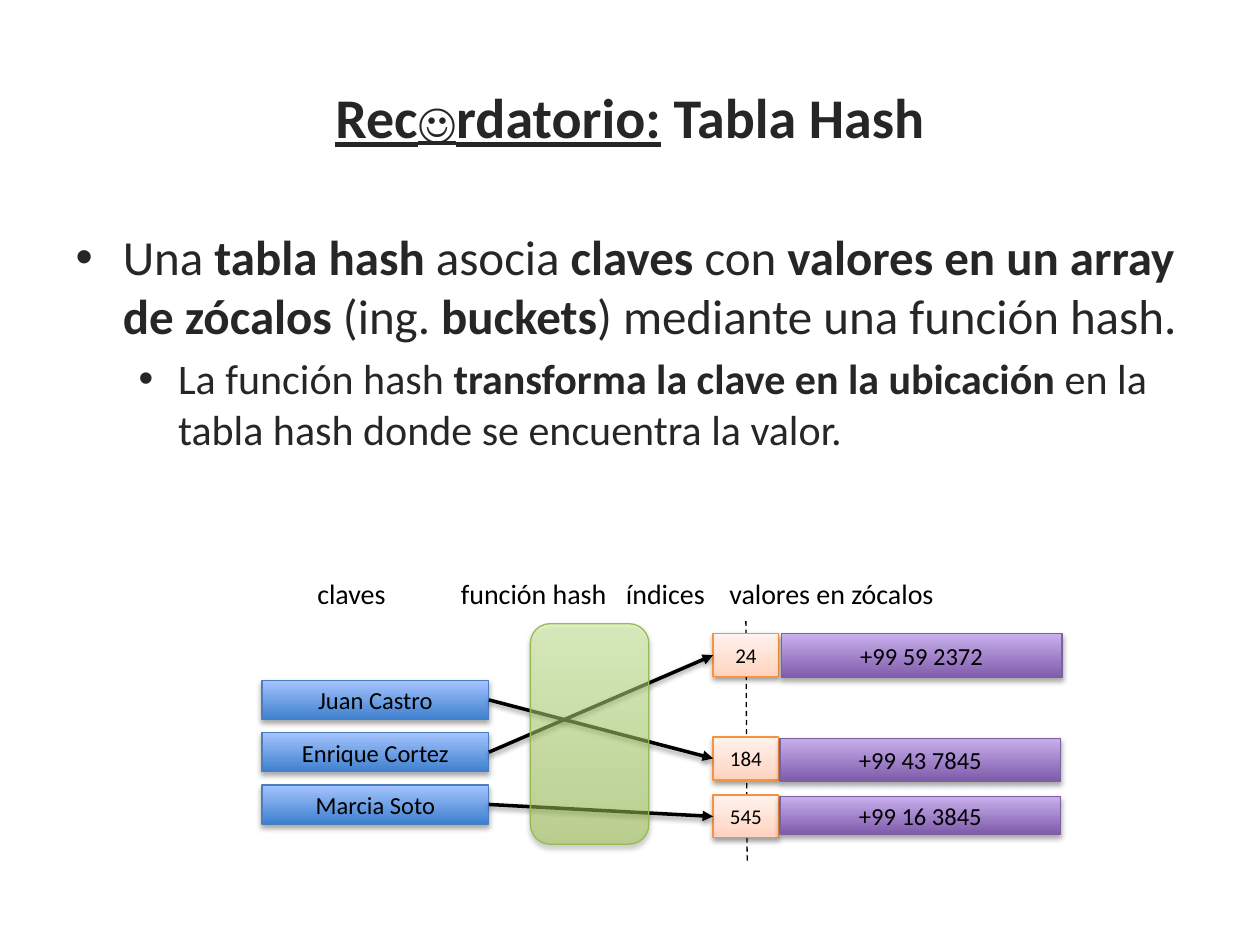
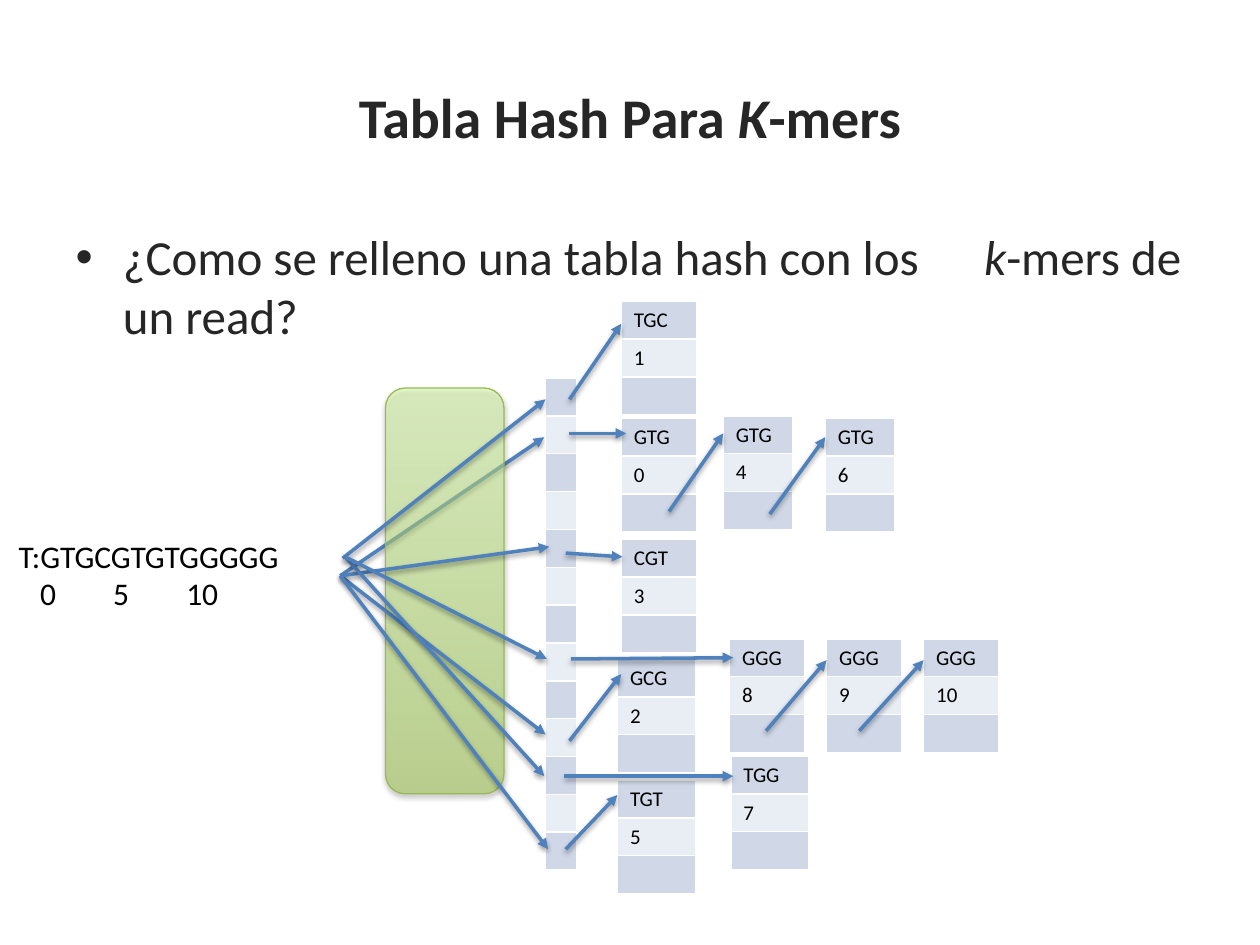
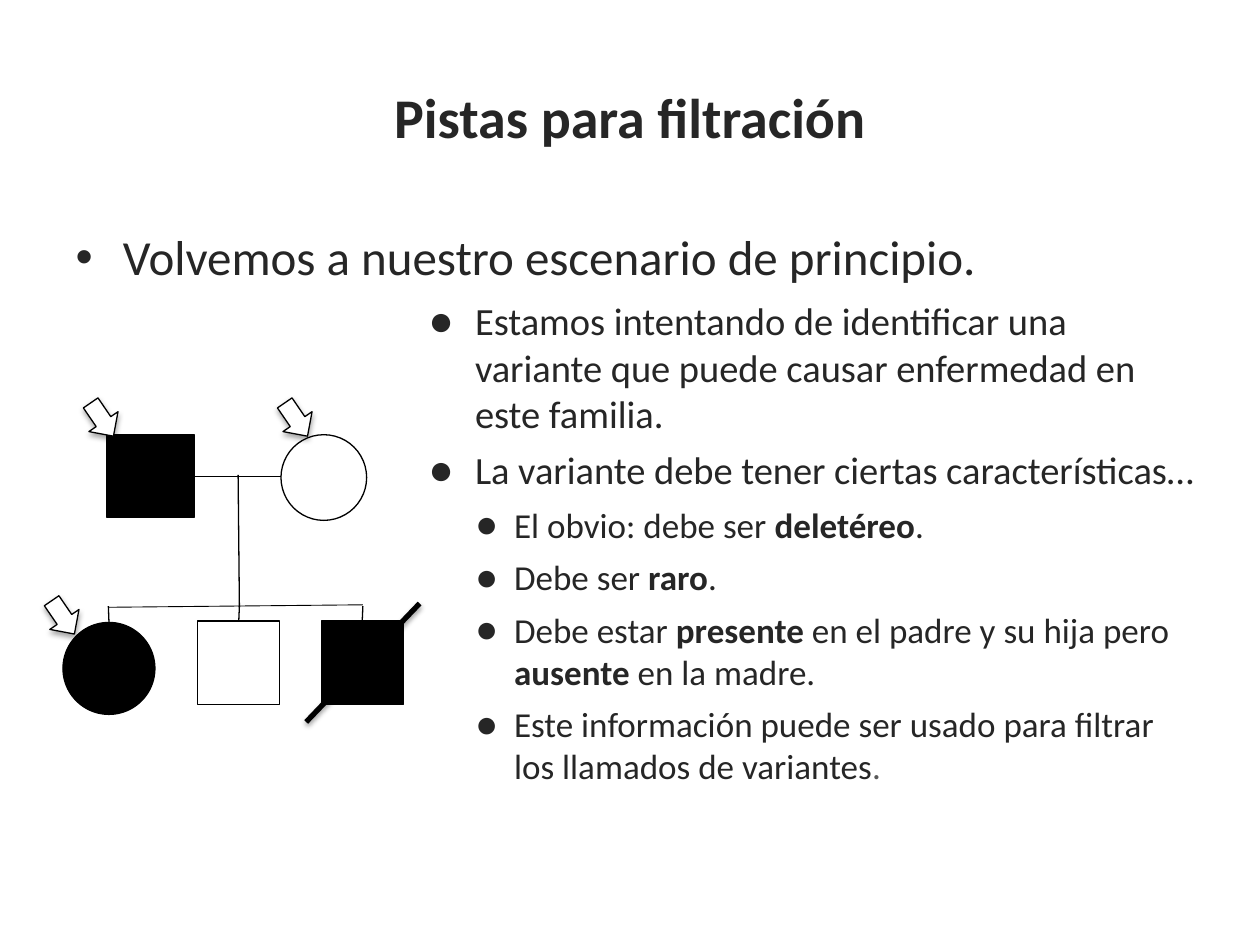
import dataclasses

import pptx
import pptx.dml.color
import pptx.enum.dml
import pptx.enum.shapes
import pptx.enum.text
import pptx.oxml
import pptx.oxml.ns
import pptx.util
from lxml import etree

SHAPE = pptx.enum.shapes.MSO_SHAPE
TOP, LEFT, RIGHT = 0, 1, 3
INK, BLACK, WHITE, STEEL = "262626", "000000", "FFFFFF", "4F81BD"
BANDS = ("D0D8E8", "E9EDF4")
BLUE = [(0, "3F80CE"), (100, "A4C4FF")]
PEACH = [(0, "FFD2BD"), (35, "FFDED0"), (100, "FFF2ED")]
PURPLE = [(0, "7F5BAB"), (100, "C8B0ED")]
GREEN = [(0, "A0CA4A"), (100, "DAFFA5")]
TITLE_BOX = (5, 3, 90, 12.5)
BODY_BOX = (5, 17.5, 90, 49.5)


@dataclasses.dataclass
class Level:
    size: int
    indent: float
    hang: float
    mark: str = "•"
    mark_share: int = 100


BODY_LEVELS = {0: Level(28, 3.75, 3.75), 1: Level(24, 8.13, 3.13)}
CLUE_LEVELS = {1: Level(22, 7.5, 3.7, "●", 110), 2: Level(20, 10.6, 3.1, "●", 110)}


def color(hex_value):
    return pptx.dml.color.RGBColor.from_string(hex_value)


def add_xml(parent, tag, **attributes):
    return etree.SubElement(parent, pptx.oxml.ns.qn(tag), **attributes)


class Deck:
    font = "Calibri"

    def __init__(self):
        self.presentation = pptx.Presentation()
        self.presentation.slide_width = pptx.util.Inches(10)
        self.presentation.slide_height = pptx.util.Inches(7.5)
        self.column = self.presentation.slide_width / 100
        self.row = self.presentation.slide_height / 75
        self.slide = None

    def x(self, columns):
        return int(columns * self.column)

    def y(self, rows):
        return int(rows * self.row)

    def box(self, left, top, width, height):
        return self.x(left), self.y(top), self.x(width), self.y(height)

    def start(self, layout, title):
        layouts = self.presentation.slide_layouts
        self.slide = self.presentation.slides.add_slide(layouts[layout])
        heading = self.slide.shapes.title
        self.place(heading, TITLE_BOX)
        paragraph = heading.text_frame.paragraphs[0]
        self.compose(paragraph, title, 32, emphasis="italic")
        for run in paragraph.runs:
            run.font.bold = True
        return paragraph

    def place(self, shape, area):
        shape.left, shape.top, shape.width, shape.height = self.box(*area)

    def style(self, run, size, ink):
        run.font.name = self.font
        run.font.size = pptx.util.Pt(size)
        run.font.color.rgb = color(ink)

    def compose(self, paragraph, text, size, ink=INK, emphasis="bold"):
        for position, piece in enumerate(text.split("|")):
            if piece:
                run = paragraph.add_run()
                run.text = piece
                self.style(run, size, ink)
                if position % 2:
                    if emphasis == "bold":
                        run.font.bold = True
                    else:
                        run.font.italic = True

    def bullets(self, placeholder, area, items, levels, emphasis="bold", space=None):
        body = self.slide.placeholders[placeholder]
        self.place(body, area)
        frame = body.text_frame
        frame.auto_size = pptx.enum.text.MSO_AUTO_SIZE.NONE
        for number, (depth, text) in enumerate(items):
            paragraph = frame.add_paragraph() if number else frame.paragraphs[0]
            level = levels[depth]
            paragraph.level = depth
            if space is not None:
                paragraph.space_before = pptx.util.Pt(space if number else 0)
            properties = paragraph._p.get_or_add_pPr()
            properties.set("marL", str(self.x(level.indent)))
            properties.set("indent", str(-self.x(level.hang)))
            add_xml(properties, "a:buSzPct", val=str(level.mark_share * 1000))
            add_xml(properties, "a:buFont", typeface="Arial")
            add_xml(properties, "a:buChar", char=level.mark)
            self.compose(paragraph, text, level.size, emphasis=emphasis)
        return frame.paragraphs

    def tabbed(self, area, lines, size, stops):
        frame = self.slide.shapes.add_textbox(*self.box(*area)).text_frame
        frame.word_wrap = True
        frame.text = "\n".join(lines)
        for paragraph in frame.paragraphs:
            tabs = add_xml(paragraph._p.get_or_add_pPr(), "a:tabLst")
            for stop in stops:
                add_xml(tabs, "a:tab", pos=str(self.x(stop)), algn="l")
            self.style(paragraph.runs[0], size, BLACK)

    def shade(self, shape, opacity, distance):
        properties = shape._element.spPr
        effects = properties.find(pptx.oxml.ns.qn("a:effectLst"))
        if effects is None:
            effects = add_xml(properties, "a:effectLst")
        if opacity:
            shadow = add_xml(
                effects, "a:outerShdw",
                blurRad=str(pptx.util.Pt(3.1)), dist=str(pptx.util.Pt(distance)),
                dir="5400000", rotWithShape="0",
            )
            ink = add_xml(shadow, "a:srgbClr", val=BLACK)
            add_xml(ink, "a:alpha", val=str(opacity * 1000))

    def gradient(self, shape, stops, opacity):
        shape.fill.gradient()
        shape.fill.gradient_angle = 90
        ramp = shape._element.spPr.find(".//" + pptx.oxml.ns.qn("a:gsLst"))
        for stop in list(ramp):
            ramp.remove(stop)
        for position, hex_value in stops:
            stop = add_xml(ramp, "a:gs", pos=str(position * 1000))
            ink = add_xml(stop, "a:srgbClr", val=hex_value)
            if opacity < 100:
                add_xml(ink, "a:alpha", val=str(opacity * 1000))

    def shape(self, kind, area, fill=None, line=BLACK, text="", size=14,
              opacity=100, shadow=0, rotation=0):
        shape = self.slide.shapes.add_shape(kind, *self.box(*area))
        shape.rotation = rotation
        if fill is None:
            shape.fill.background()
        elif isinstance(fill, str):
            shape.fill.solid()
            shape.fill.fore_color.rgb = color(fill)
        else:
            self.gradient(shape, fill, opacity)
        shape.line.color.rgb = color(line)
        shape.line.width = pptx.util.Pt(0.75)
        shape.shadow.inherit = False
        self.shade(shape, shadow, 1.8)
        if text:
            frame = shape.text_frame
            frame.text = text
            frame.vertical_anchor = pptx.enum.text.MSO_ANCHOR.MIDDLE
            frame.paragraphs[0].alignment = pptx.enum.text.PP_ALIGN.CENTER
            self.style(frame.paragraphs[0].runs[0], size, BLACK)
        return shape

    def hash_function(self, area):
        self.shape(SHAPE.ROUNDED_RECTANGLE, area, GREEN, "98B955", opacity=50, shadow=35)

    def line(self, start, end, ink=BLACK, width=0.75, arrow=False, dashed=False,
             shadow=0, source=None, target=None):
        connector = self.slide.shapes.add_connector(
            pptx.enum.shapes.MSO_CONNECTOR.STRAIGHT,
            self.x(start[0]), self.y(start[1]), self.x(end[0]), self.y(end[1]),
        )
        if source:
            connector.begin_connect(*source)
        if target:
            connector.end_connect(*target)
        connector.line.color.rgb = color(ink)
        connector.line.width = pptx.util.Pt(width)
        if dashed:
            connector.line.dash_style = pptx.enum.dml.MSO_LINE.DASH
        if arrow:
            add_xml(connector.line._get_or_add_ln(), "a:tailEnd", type="triangle")
        self.shade(connector, shadow, 1.6)

    def arrow(self, start, end, ink=STEEL, **joins):
        self.line(start, end, ink, 2, arrow=True, shadow=38, **joins)

    def stack(self, left, top, width, values):
        height = 3 * len(values)
        frame = self.slide.shapes.add_table(
            len(values), 1, *self.box(left, top, width, height))
        table = frame.table
        table.first_row = False
        for number, value in enumerate(values):
            cell = table.cell(number, 0)
            cell.fill.solid()
            cell.fill.fore_color.rgb = color(BANDS[number % 2])
            paragraph = cell.text_frame.paragraphs[0]
            if value:
                paragraph.text = value
                self.style(paragraph.runs[0], 12, BLACK)
            else:
                add_xml(paragraph._p, "a:endParaRPr", sz="1200")


def reminder(deck):
    title = deck.start(1, "Rec||☺||rdatorio:|| Tabla Hash")
    for run in title.runs[:3]:
        run.font.underline = True
    title.runs[1].font.size = pptx.util.Pt(24)
    deck.bullets(1, BODY_BOX, [
        (0, "Una |tabla hash |asocia |claves| con |valores en un array de zócalos "
            "|(ing. |buckets|) mediante una función hash."),
        (1, "La función hash |transforma la clave en la ubicación| en la tabla hash "
            "donde se encuentra la valor."),
    ], BODY_LEVELS)
    deck.tabbed((24.2, 45.3, 61.6, 3.7),
                ["claves\tfunción hash\tíndices\tvalores en zócalos"],
                16, (11.4, 24.5, 32.7))

    names = ("Juan Castro", "Enrique Cortez", "Marcia Soto")
    keys = [
        deck.shape(SHAPE.RECTANGLE, (20.8, 54 + 4.15 * number, 18, 3.1),
                   BLUE, "4B7EBC", name, shadow=35)
        for number, name in enumerate(names)
    ]
    deck.line((59.3, 68.3), (59.2, 49.3), dashed=True)
    buckets = (
        ("24", 50.3, "+99 59 2372", (62, 50.3, 22.3, 3.5)),
        ("184", 58.5, "+99 43 7845", (61.9, 58.6, 22.3, 3.4)),
        ("545", 63.1, "+99 16 3845", (61.9, 63.2, 22.3, 3)),
    )
    indices = []
    for index, top, phone, phone_box in buckets:
        indices.append(deck.shape(SHAPE.RECTANGLE, (56.6, top, 5.2, 3.4),
                                  PEACH, "F69240", index, 12, shadow=38))
        deck.shape(SHAPE.RECTANGLE, phone_box, PURPLE, "7D60A0", phone, shadow=35)
    for key, bucket in zip(keys, (1, 0, 2)):
        deck.arrow((38.8, 56), (56.6, 60), BLACK,
                   source=(key, RIGHT), target=(indices[bucket], LEFT))
    deck.hash_function((42.1, 49.5, 9.4, 17.5))


def kmers(deck):
    deck.start(1, "Tabla Hash Para |K|-mers")
    question = deck.bullets(1, BODY_BOX, [
        (0, "¿Como se relleno una tabla hash con los| ||k|-mers de un read?"),
    ], BODY_LEVELS, emphasis="italic")[0]
    question.runs[1]._r.get_or_add_rPr().set("spc", "3100")
    deck.tabbed((0.5, 42.1, 26.5, 7.1), ["T:GTGCGTGTGGGGG", "\t0\t5\t10"],
                18, (1.7, 7.5, 13.3))

    deck.arrow((27, 45.7), (43.2, 34.7))
    deck.hash_function((30.6, 30.8, 9.4, 32.2))
    deck.stack(43.3, 30, 2.5, [""] * 13)
    entries = (
        (49.3, 23.9, 6, "TGC", "1"),
        (49.3, 33.2, 6, "GTG", "0"),
        (57.4, 33, 5.5, "GTG", "4"),
        (65.5, 33.2, 5.5, "GTG", "6"),
        (49.3, 42.8, 6, "CGT", "3"),
        (49, 52.3, 6.2, "GCG", "2"),
        (49, 61.9, 6.2, "TGT", "5"),
        (58, 60, 6.2, "TGG", "7"),
        (57.9, 50.7, 6, "GGG", "8"),
        (65.6, 50.7, 6, "GGG", "9"),
        (73.3, 50.7, 6, "GGG", "10"),
    )
    for left, top, width, kmer, position in entries:
        deck.stack(left, top, width, [kmer, position, ""])

    hashed = (
        ((27.2, 44.3), (43.3, 31.7)),
        ((27, 45.7), (43.3, 58.3)),
        ((27, 45.7), (43.6, 43.4)),
        ((27, 45.7), (43.5, 67.4)),
        ((27.4, 44.2), (43.2, 61.6)),
        ((27.4, 44.2), (43.4, 52.3)),
    )
    chained = (
        ((45.2, 34.4), (49.7, 34.4)),
        ((45.2, 31.7), (49.3, 25.7)),
        ((45.2, 58.8), (49.3, 53.5)),
        ((44.9, 43.9), (49.4, 44.2)),
        ((53.1, 40.6), (57.4, 34.4)),
        ((44.9, 67.4), (49, 63.1)),
        ((61.1, 40.8), (65.5, 34.7)),
        ((44.8, 61.6), (58.2, 61.6)),
        ((45.3, 52.3), (58.2, 52.2)),
        ((60.8, 58), (65.6, 52.4)),
        ((68.2, 58), (73.3, 52.4)),
    )
    for start, end in hashed + chained:
        deck.arrow(start, end)


def filtering(deck):
    deck.start(3, "Pistas para filtración")
    deck.bullets(1, BODY_BOX, [(0, "Volvemos a nuestro escenario de principio.")],
                 BODY_LEVELS)
    father = deck.shape(SHAPE.RECTANGLE, (8.5, 34.5, 6.9, 6.6), BLACK)
    deck.shape(SHAPE.OVAL, (22.3, 34.5, 6.8, 6.8))
    daughter = deck.shape(SHAPE.OVAL, (5, 49.4, 7.3, 7.3), BLACK)
    sons = [deck.shape(SHAPE.RECTANGLE, (left, 49.3, 6.5, 6.6), fill)
            for left, fill in ((15.7, None), (25.5, BLACK))]
    deck.line((15.4, 37.7), (22.3, 37.8), width=0.5, source=(father, RIGHT))
    deck.line((18.9, 37.7), (19, 48.2))
    deck.line((8.6, 48.2), (28.8, 48), width=0.5)
    for child, center in zip([daughter] + sons, (8.6, 19, 28.8)):
        deck.line((center, 48.1), (center, 49.3), target=(child, TOP))
    for left, top in ((3.4, 47.6), (6.5, 31.9), (21.9, 31.9)):
        deck.shape(SHAPE.RIGHT_ARROW, (left, top, 3.2, 2.8), WHITE,
                   shadow=35, rotation=55.6)
    deck.line((33.3, 47.9), (24.3, 57.3), width=3, shadow=38)

    clues = deck.bullets(2, (29.2, 23.1, 66.6, 44.6), [
        (1, "Estamos intentando de identificar una variante que puede causar "
            "enfermedad en este familia."),
        (1, "La variante debe tener ciertas características…"),
        (2, "El obvio: debe ser |deletéreo|."),
        (2, "Debe ser |raro|."),
        (2, "Debe estar |presente| en el padre y su hija pero |ausente| en la madre."),
        (2, "Este información puede ser usado para filtrar los llamados de variantes||."),
    ], CLUE_LEVELS, space=6)
    clues[-1].runs[-1].font.color.rgb = color("595959")


def main():
    deck = Deck()
    reminder(deck)
    kmers(deck)
    filtering(deck)
    deck.presentation.save("out.pptx")


if __name__ == "__main__":
    main()
